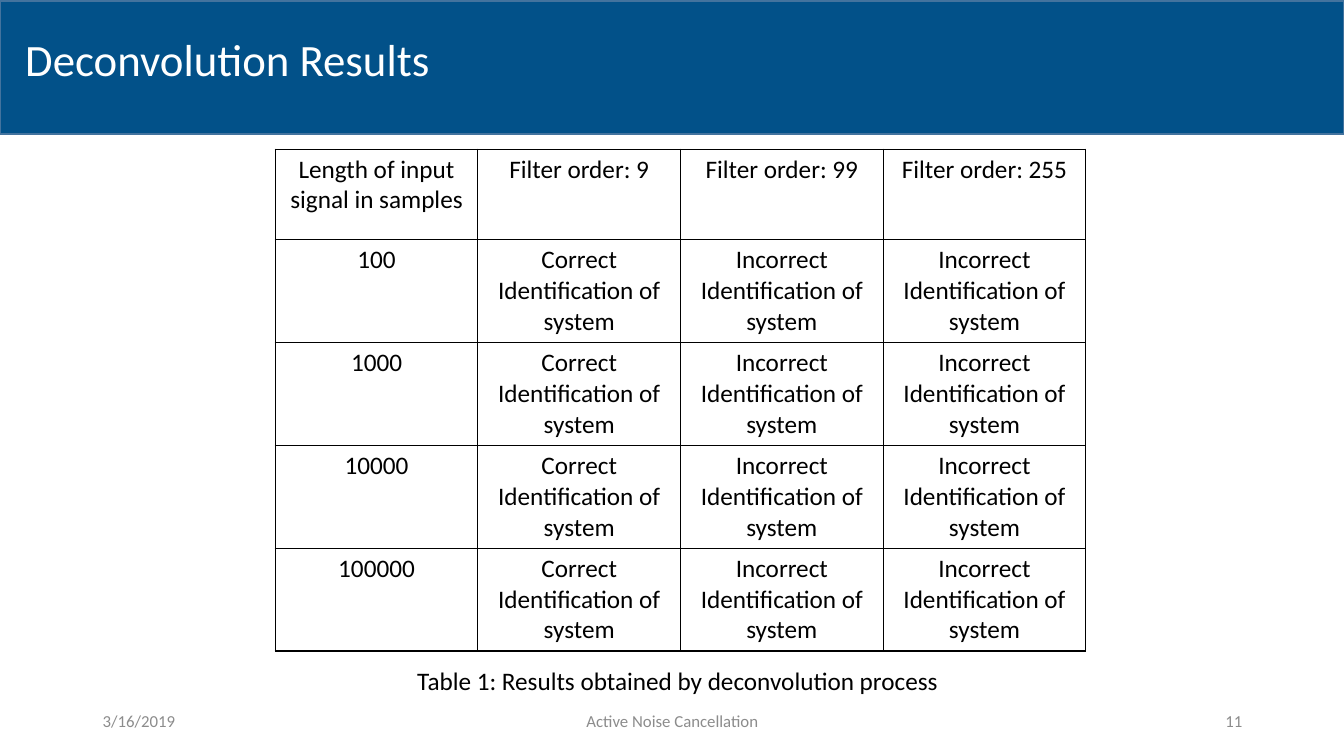
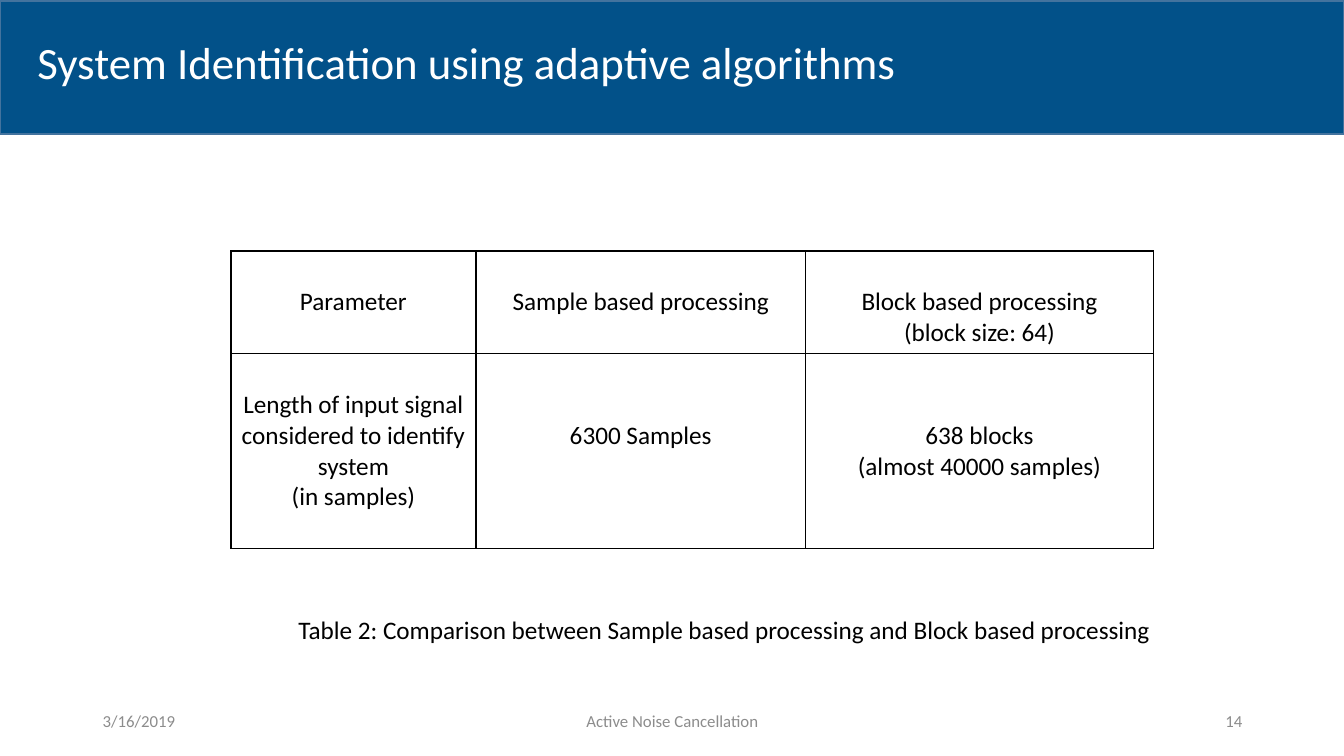
import pptx
import pptx.util
import pptx.dml.color
import pptx.enum.shapes
import pptx.enum.text
import pptx.oxml
import pptx.oxml.ns
from dataclasses import dataclass

Inches = pptx.util.Inches
Pt = pptx.util.Pt
ALIGN = pptx.enum.text.PP_ALIGN
ANCHOR = pptx.enum.text.MSO_ANCHOR

COLORS = {
    "band": "025189",
    "band_line": "43739E",
    "white": "FFFFFF",
    "text": "000000",
    "footer": "8C8C8C",
}
FONT = "Calibri"
BODY_SIZE = 18
CELL_PAD = 0.05
CELL_SIDE = 0.07
LINE_HEIGHT = 0.305


@dataclass(frozen=True)
class Box:
    left: float
    top: float
    width: float
    height: float

    def lengths(self) -> tuple:
        return tuple(Inches(v) for v in (self.left, self.top, self.width, self.height))


@dataclass(frozen=True)
class Footer:
    box: Box
    align: ALIGN
    text: str


@dataclass(frozen=True)
class TableSlide:
    title: str
    title_box: Box
    number: str
    left: float
    top: float
    col_widths: tuple
    row_heights: tuple
    rows: tuple
    lines_above: tuple
    caption: str
    caption_box: Box


BAND = Box(0, 0.01, 13.33, 1.32)
FOOTERS = (
    Footer(Box(0.92, 6.95, 3, 0.4), ALIGN.LEFT, "3/16/2019"),
    Footer(Box(4.42, 6.95, 4.5, 0.4), ALIGN.CENTER, "Active Noise Cancellation"),
)
NUMBER_BOX = Box(9.42, 6.95, 3, 0.4)

RESULTS = ("Correct Identification of system",) + ("Incorrect Identification of system",) * 2
SIGNAL_LENGTHS = ("100", "1000", "10000", "100000")

SLIDES = (
    TableSlide(
        title="Deconvolution Results",
        title_box=Box(0.15, 0.24, 11.5, 0.74),
        number="11",
        left=2.73,
        top=1.48,
        col_widths=(2.01,) * 4,
        row_heights=(0.9,) + (1.02,) * len(SIGNAL_LENGTHS),
        rows=(
            ("Length of input signal in samples", "Filter order: 9",
             "Filter order: 99", "Filter order: 255"),
            *((length, *RESULTS) for length in SIGNAL_LENGTHS),
        ),
        lines_above=((0,) * 4,) * 5,
        caption="Table 1: Results obtained by deconvolution process",
        caption_box=Box(4.04, 6.55, 5.43, 0.4),
    ),
    TableSlide(
        title="System Identification using adaptive algorithms",
        title_box=Box(0.27, 0.34, 11.5, 0.6),
        number="14",
        left=2.29,
        top=2.49,
        col_widths=(2.43, 3.27, 3.45),
        row_heights=(1.02, 1.93),
        rows=(
            ("Parameter", "Sample based processing",
             "Block based processing\n(block size: 64)"),
            ("Length of input signal considered to identify system\n(in samples)",
             "6300 Samples", "638 blocks\n(almost 40000 samples)"),
        ),
        lines_above=((1, 1, 1), (1, 2, 2)),
        caption="Table 2: Comparison between Sample based processing and Block based processing",
        caption_box=Box(2.86, 6.05, 8.75, 0.4),
    ),
)


def rgb(name: str) -> pptx.dml.color.RGBColor:
    return pptx.dml.color.RGBColor.from_string(COLORS[name])


def write(tf, text: str, *, size: float = BODY_SIZE, color: str = "text",
          align: ALIGN = ALIGN.LEFT, spacing: float = 1.0) -> None:
    tf.word_wrap = True
    tf.text = text
    for p in tf.paragraphs:
        p.alignment = align
        p.line_spacing = spacing
        for r in p.runs:
            r.font.name = FONT
            r.font.size = Pt(size)
            r.font.color.rgb = rgb(color)


def add_text(s, box: Box, text: str, *, anchor: ANCHOR = ANCHOR.TOP, **fmt) -> None:
    tf = s.shapes.add_textbox(*box.lengths()).text_frame
    tf.vertical_anchor = anchor
    write(tf, text, **fmt)


def add_title(s, text: str, box: Box) -> None:
    sp = s.shapes.title
    sp.left, sp.top, sp.width, sp.height = box.lengths()
    tf = sp.text_frame
    tf.auto_size = pptx.enum.text.MSO_AUTO_SIZE.NONE
    tf.vertical_anchor = ANCHOR.MIDDLE
    write(tf, text, size=32, color="white", spacing=0.9)

    band = s.shapes.add_shape(pptx.enum.shapes.MSO_SHAPE.RECTANGLE, *BAND.lengths())
    band.shadow.inherit = False
    band.fill.solid()
    band.fill.fore_color.rgb = rgb("band")
    band.line.color.rgb = rgb("band_line")
    band.line.width = Pt(1)
    sp.element.addprevious(band.element)


def add_footers(s, number: str) -> None:
    for footer in (*FOOTERS, Footer(NUMBER_BOX, ALIGN.RIGHT, number)):
        add_text(s, footer.box, footer.text, anchor=ANCHOR.MIDDLE,
                 size=12, color="footer", align=footer.align)


def add_borders(cell) -> None:
    tc_pr = cell._tc.get_or_add_tcPr()
    for side in ("lnL", "lnR", "lnT", "lnB"):
        tc_pr.append(pptx.oxml.parse_xml(
            f'<a:{side} {pptx.oxml.ns.nsdecls("a")} w="{Pt(1)}"><a:solidFill>'
            f'<a:srgbClr val="{COLORS["text"]}"/></a:solidFill></a:{side}>'))


def format_cell(cell, text: str, lines_above: int) -> None:
    cell.margin_left = cell.margin_right = Inches(CELL_SIDE)
    cell.margin_top = Inches(CELL_PAD + lines_above * LINE_HEIGHT)
    cell.margin_bottom = Inches(CELL_PAD)
    add_borders(cell)
    cell.fill.solid()
    cell.fill.fore_color.rgb = rgb("white")
    write(cell.text_frame, text, align=ALIGN.CENTER)


def add_grid(s, spec_slide: TableSlide) -> None:
    widths, heights = spec_slide.col_widths, spec_slide.row_heights
    box = Box(spec_slide.left, spec_slide.top, sum(widths), sum(heights))
    table = s.shapes.add_table(len(heights), len(widths), *box.lengths()).table
    table.first_row = table.horz_banding = False
    for col, width in zip(table.columns, widths):
        col.width = Inches(width)
    for row, height, texts, gaps in zip(table.rows, heights, spec_slide.rows,
                                        spec_slide.lines_above):
        row.height = Inches(height)
        for cell, text, gap in zip(row.cells, texts, gaps):
            format_cell(cell, text, gap)


def main() -> None:
    prs = pptx.Presentation()
    prs.slide_width, prs.slide_height = Inches(13.33), Inches(7.5)
    for content in SLIDES:
        s = prs.slides.add_slide(prs.slide_layouts.get_by_name("Title Only"))
        add_title(s, content.title, content.title_box)
        add_grid(s, content)
        add_footers(s, content.number)
        add_text(s, content.caption_box, content.caption)
    prs.save("out.pptx")


if __name__ == "__main__":
    main()
